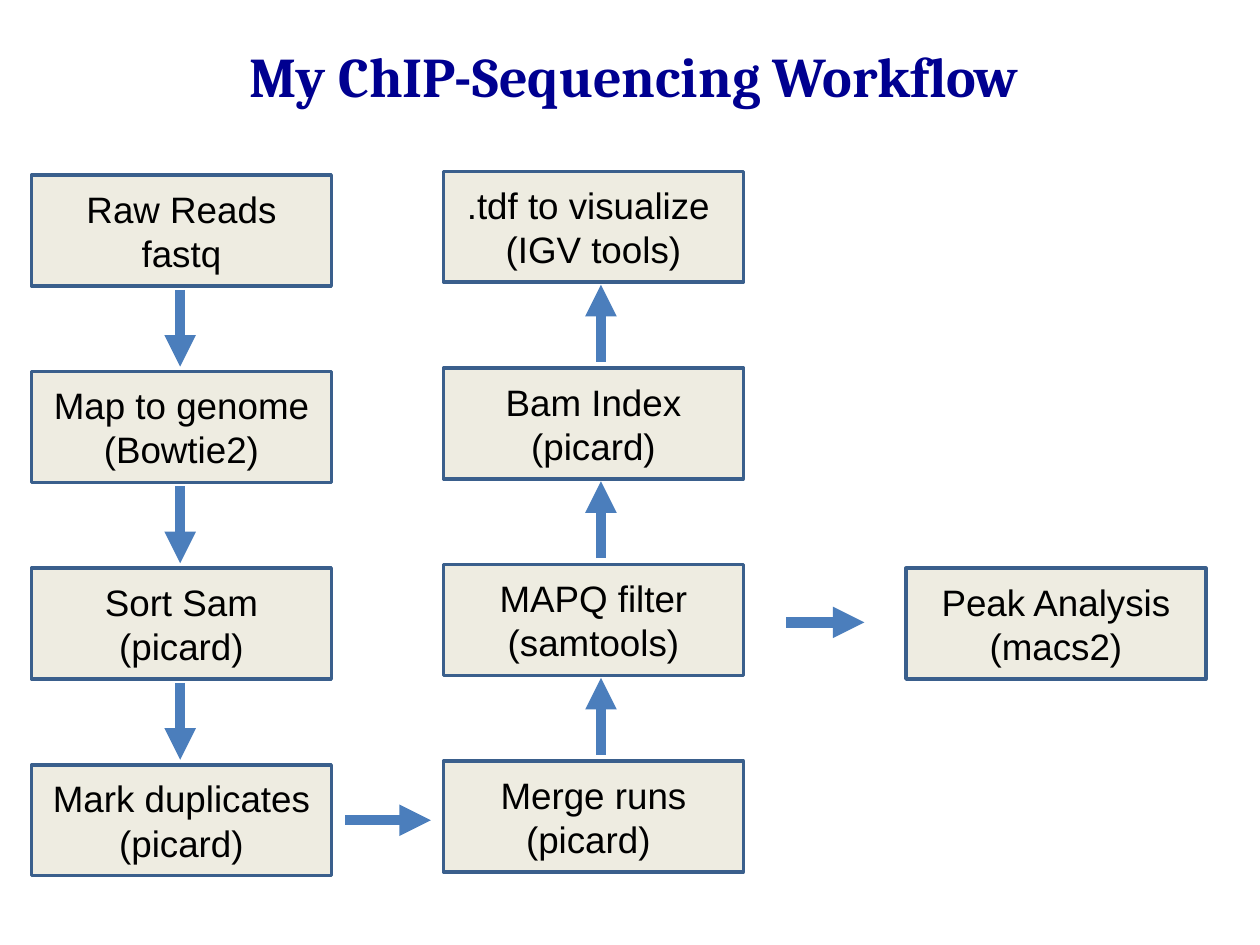
"""Build a slide showing a ChIP-sequencing workflow as boxes joined by arrows."""
from lxml.etree import SubElement
from pptx import Presentation
from pptx.dml.color import RGBColor
from pptx.enum.shapes import MSO_CONNECTOR, MSO_SHAPE
from pptx.enum.text import MSO_ANCHOR, PP_ALIGN
from pptx.oxml.ns import qn
from pptx.util import Inches, Pt

COLORS = {"box": "EEECE1", "border": "3A5F8C", "arrow": "4B7EBC",
          "text": "000000", "title": "000090"}
BOX_WIDTH, BOX_HEIGHT = 2.38, 0.88
ROW_PITCH = 1.56
ARROW_LENGTH = 0.61


def write_text(shape, lines, font="Arial", size=21, color="text", bold=False, side_inset=0.1):
    frame = shape.text_frame
    frame.word_wrap = True
    frame.vertical_anchor = MSO_ANCHOR.MIDDLE
    frame.margin_left = frame.margin_right = Inches(side_inset)
    frame.margin_top = frame.margin_bottom = Inches(0.05)
    frame.text = "\n".join(lines)
    for paragraph in frame.paragraphs:
        paragraph.alignment = PP_ALIGN.CENTER
        for run in paragraph.runs:
            run.font.name = font
            run.font.size = Pt(size)
            run.font.bold = bold
            run.font.color.rgb = RGBColor.from_string(COLORS[color])


presentation = Presentation()
presentation.slide_width = Inches(10)
presentation.slide_height = Inches(7.5)
slide = presentation.slides.add_slide(presentation.slide_layouts[5])

title = slide.shapes.title
title.left, title.top = Inches(1.86), Inches(0.28)
title.width, title.height = Inches(6.35), Inches(0.64)
write_text(title, ["My ChIP-Sequencing Workflow"],
           font="Cambria", size=32, color="title", bold=True)

columns = [
    (0.25, 1.39, [["Raw Reads", "fastq"], ["Map to genome (Bowtie2)"],
                  ["Sort Sam", "(picard)"], ["Mark duplicates", "(picard)"]]),
    (3.52, 1.36, [[".tdf to visualize ", "(IGV tools)"], ["Bam Index (picard)"],
                  ["MAPQ filter (samtools)"], ["Merge runs", "(picard) "]]),
    (7.19, 4.51, [["Peak Analysis", "(macs2)"]]),
]
tight_steps = (".tdf to visualize ", "Peak Analysis")
for left, top, steps in columns:
    for row, lines in enumerate(steps):
        box = slide.shapes.add_shape(
            MSO_SHAPE.RECTANGLE, Inches(left), Inches(top + row * ROW_PITCH),
            Inches(BOX_WIDTH), Inches(BOX_HEIGHT))
        box.shadow.inherit = False
        box.fill.solid()
        box.fill.fore_color.rgb = RGBColor.from_string(COLORS["box"])
        box.line.color.rgb = RGBColor.from_string(COLORS["border"])
        box.line.width = Pt(2)
        write_text(box, lines, side_inset=0 if lines[0] in tight_steps else 0.1)

arrows = [(2.74, 6.51, 3.42, 6.51), (6.24, 4.94, 6.86, 4.94)]
for gap in range(3):
    down_start = 2.3 + gap * ROW_PITCH
    up_end = 2.26 + gap * ROW_PITCH
    arrows.append((1.43, down_start, 1.43, down_start + ARROW_LENGTH))
    arrows.append((4.77, up_end + ARROW_LENGTH, 4.77, up_end))

for ends in arrows:
    arrow = slide.shapes.add_connector(MSO_CONNECTOR.STRAIGHT, *map(Inches, ends))
    arrow.line.color.rgb = RGBColor.from_string(COLORS["arrow"])
    arrow.line.width = Pt(6)
    SubElement(arrow.line._get_or_add_ln(), qn("a:tailEnd"), type="triangle")
    SubElement(arrow._element.spPr, qn("a:effectLst"))

presentation.save("out.pptx")
